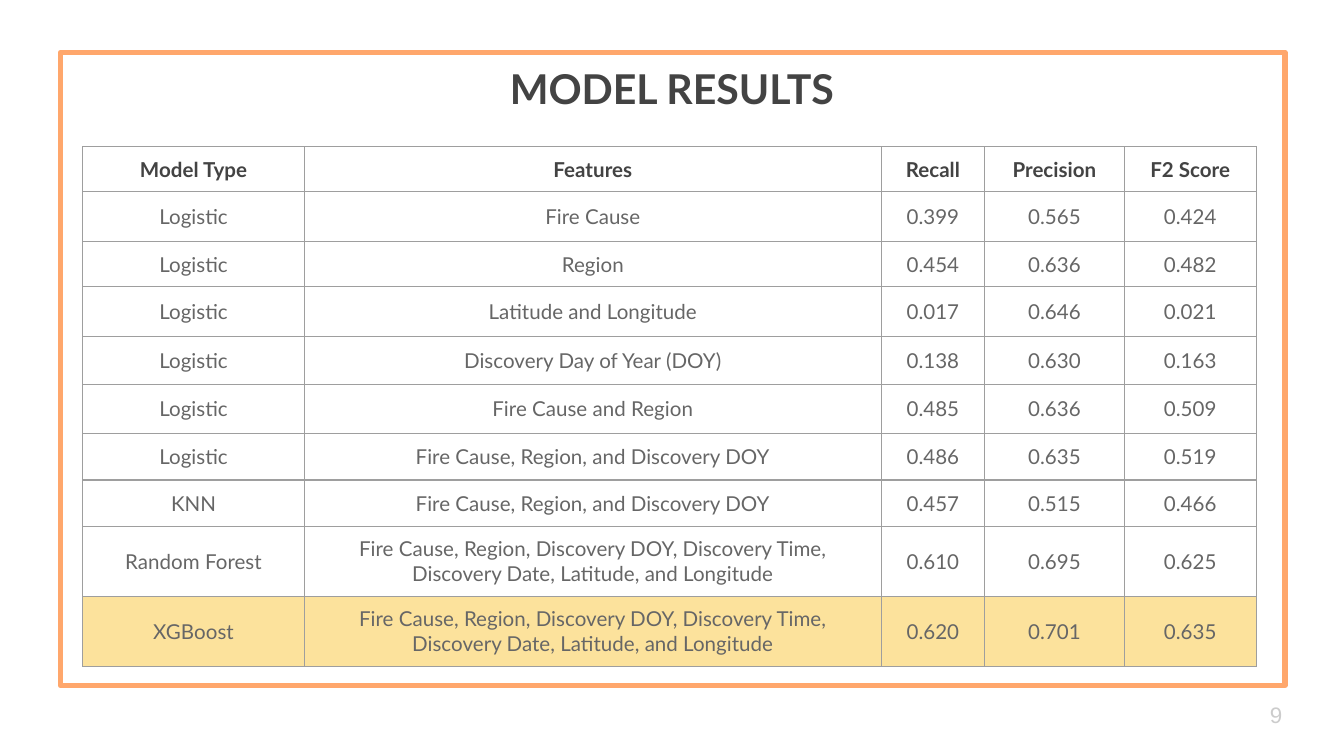
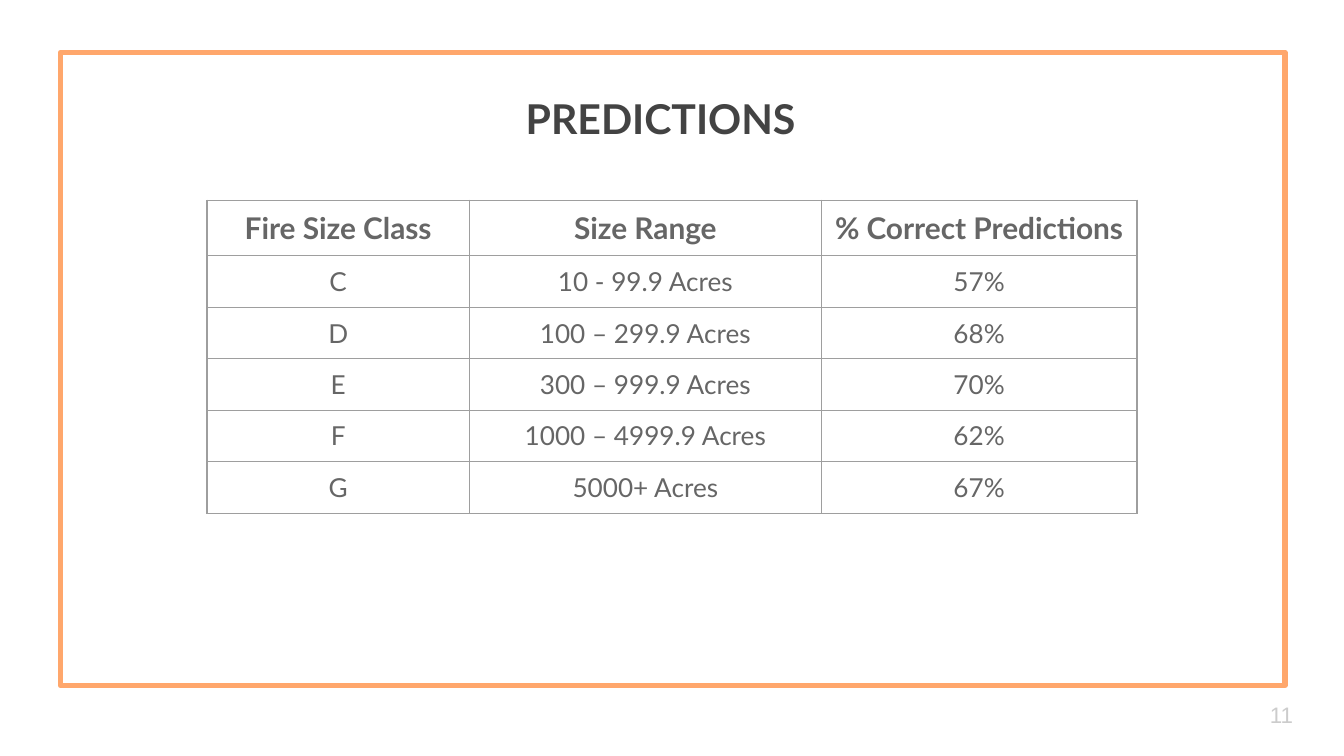
"""Build the model results and predictions slides."""
import pptx
import pptx.util
import pptx.dml.color
import pptx.enum.shapes
import pptx.enum.text
import pptx.oxml.ns
import lxml.etree

Pt = pptx.util.Pt
ANCHOR = pptx.enum.text.MSO_ANCHOR
ALIGN = pptx.enum.text.PP_ALIGN

HUES = {"frame": "FFA76C", "dark": "434343", "text": "666666",
        "page": "CCCCCC", "grid": "9E9E9E", "best": "FCE29C"}
FRAME = (32.4, 28.1, 655.9, 339.1)
PAGE = (673.2, 367.2, 43.2, 31)
TRIO = "Fire Cause, Region, and Discovery DOY"
FULL = ("Fire Cause, Region, Discovery DOY, Discovery Time, "
        "Discovery Date, Latitude, and Longitude")

SLIDES = [
    {"title": "MODEL RESULTS", "box": (0, 12.2, 720, 55.4), "page": "9",
     "at": (44.3, 78.7), "cols": (118.8, 309, 55.4, 74.9, 70.6),
     "rows": (23.9, 27, 24.1, 26.5, 26, 26, 25, 25, 37.5, 37.5),
     "head": (11, "dark"), "size": 11, "best": 9,
     "cells": [
         ("Model Type", "Features", "Recall", "Precision", "F2 Score"),
         ("Logistic", "Fire Cause", "0.399", "0.565", "0.424"),
         ("Logistic", "Region", "0.454", "0.636", "0.482"),
         ("Logistic", "Latitude and Longitude", "0.017", "0.646", "0.021"),
         ("Logistic", "Discovery Day of Year (DOY)", "0.138", "0.630", "0.163"),
         ("Logistic", "Fire Cause and Region", "0.485", "0.636", "0.509"),
         ("Logistic", TRIO, "0.486", "0.635", "0.519"),
         ("KNN", TRIO, "0.457", "0.515", "0.466"),
         ("Random Forest", FULL, "0.610", "0.695", "0.625"),
         ("XGBoost", FULL, "0.620", "0.701", "0.635")]},
    {"title": "PREDICTIONS", "box": (92.9, 40.3, 522, 43.2), "page": "11",
     "at": (110.9, 107.2), "cols": (140.6, 188.6, 169),
     "rows": (29.8,) + (27.6,) * 5,
     "head": (16, "text"), "size": 14, "best": None,
     "cells": [
         ("Fire Size Class", "Size Range", "% Correct Predictions"),
         ("C", "10 - 99.9 Acres", "57%"),
         ("D", "100 – 299.9 Acres", "68%"),
         ("E", "300 – 999.9 Acres", "70%"),
         ("F", "1000 – 4999.9 Acres", "62%"),
         ("G", "5000+ Acres", "67%")]},
]


def color(name):
    return pptx.dml.color.RGBColor.from_string(HUES[name])


def write(frame, text, size, hue, bold=False, face="Lato", align=ALIGN.CENTER):
    para = frame.paragraphs[0]
    para.alignment = align
    run = para.add_run()
    run.text = text
    run.font.name = face
    run.font.size = Pt(size)
    run.font.bold = bold
    run.font.color.rgb = color(hue)


def label(slide, box, anchor, *args, **style):
    frame = slide.shapes.add_textbox(*map(Pt, box)).text_frame
    frame.word_wrap = True
    frame.vertical_anchor = anchor
    frame.margin_left = frame.margin_right = Pt(7.2)
    frame.margin_top = frame.margin_bottom = Pt(7.2)
    write(frame, *args, **style)


def child(node, tag, **attrs):
    return lxml.etree.SubElement(node, pptx.oxml.ns.qn(tag), **attrs)


def border(cell):
    props = cell._tc.get_or_add_tcPr()
    for i, side in enumerate(("a:lnL", "a:lnR", "a:lnT", "a:lnB")):
        line = child(props, side, w=str(Pt(0.75)))
        child(child(line, "a:solidFill"), "a:srgbClr", val=HUES["grid"])
        props.remove(line)
        props.insert(i, line)


def frame(slide):
    rect = slide.shapes.add_shape(
        pptx.enum.shapes.MSO_SHAPE.RECTANGLE, *map(Pt, FRAME))
    rect.shadow.inherit = False
    rect.fill.background()
    rect.line.color.rgb = color("frame")
    rect.line.width = Pt(3)
    child(rect.line._get_or_add_ln(), "a:round")


def grid(slide, data):
    cols, rows = data["cols"], data["rows"]
    table = slide.shapes.add_table(
        len(rows), len(cols), *map(Pt, data["at"]),
        Pt(sum(cols)), Pt(sum(rows))).table
    table.first_row = table.horz_banding = False
    for col, width in zip(table.columns, cols):
        col.width = Pt(width)
    for r, texts in enumerate(data["cells"]):
        table.rows[r].height = Pt(rows[r])
        size, hue = (data["size"], "text") if r else data["head"]
        for c, text in enumerate(texts):
            cell = table.cell(r, c)
            cell.vertical_anchor = ANCHOR.MIDDLE
            cell.margin_left = cell.margin_right = Pt(7.2)
            cell.margin_top = cell.margin_bottom = Pt(5)
            if r == data["best"]:
                cell.fill.solid()
                cell.fill.fore_color.rgb = color("best")
            else:
                cell.fill.background()
            border(cell)
            write(cell.text_frame, text, size, hue, bold=r == 0)


def main():
    deck = pptx.Presentation()
    deck.slide_width, deck.slide_height = Pt(720), Pt(405)
    for data in SLIDES:
        slide = deck.slides.add_slide(deck.slide_layouts[6])
        frame(slide)
        label(slide, data["box"], ANCHOR.BOTTOM, data["title"], 22, "dark",
              bold=True)
        label(slide, PAGE, ANCHOR.MIDDLE, data["page"], 12, "page",
              face="Arial", align=ALIGN.LEFT)
        grid(slide, data)
    deck.save("out.pptx")


if __name__ == "__main__":
    main()
